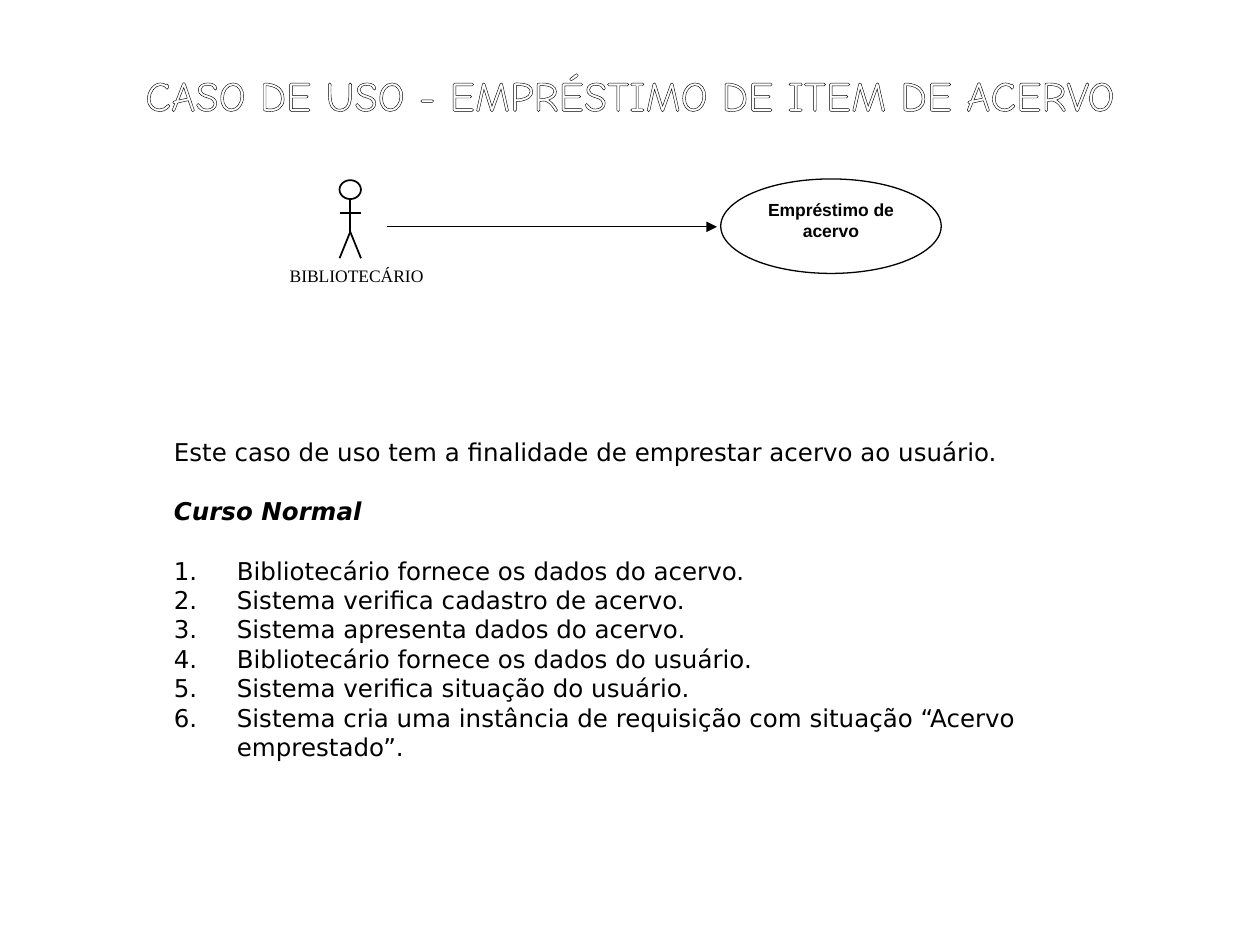
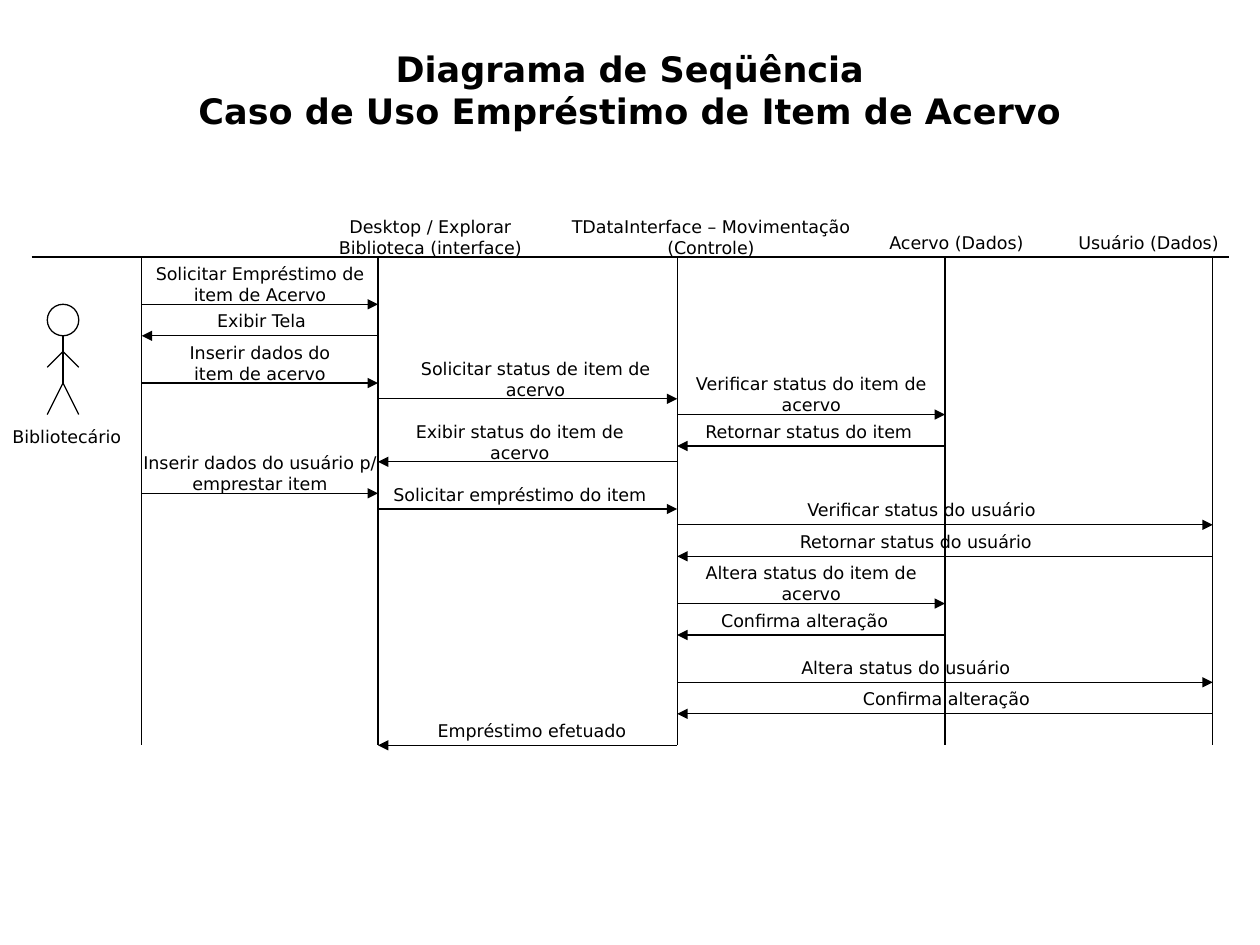
from dataclasses import dataclass

from lxml import etree
from pptx import Presentation
from pptx.dml.color import RGBColor
from pptx.enum.shapes import MSO_CONNECTOR, MSO_SHAPE
from pptx.enum.text import MSO_ANCHOR, MSO_AUTO_SIZE, PP_ALIGN
from pptx.oxml.ns import qn
from pptx.util import Inches, Pt

LEFT, CENTER = PP_ALIGN.LEFT, PP_ALIGN.CENTER
TOP = MSO_ANCHOR.TOP
FIXED = MSO_AUTO_SIZE.NONE
STRAIGHT = MSO_CONNECTOR.STRAIGHT
OVAL = MSO_SHAPE.OVAL


@dataclass(frozen=True)
class Theme:
    ink: RGBColor = RGBColor(0, 0, 0)
    paper: RGBColor = RGBColor(255, 255, 255)
    sans: str = "DejaVu Sans"
    display: str = "Comic Neue"
    serif: str = "Times New Roman"
    plain: str = "Arial"
    display_size: float = 24
    title_size: float = 20
    body_size: float = 14
    label_size: float = 10
    thin: float = 0.74
    bold_line: float = 0.99
    indent: float = 0.5
    gap: float = 17


THEME = Theme()
CELL = 0.125
BASELINE = 2.04
LIFELINES = [9, 24, 43, 60, 77]
LAST_ROW = 31

HEADERS = [
    ("Desktop / Explorar Biblioteca (interface)", 20, -3, 14.64, CENTER),
    ("TDataInterface – Movimentação (Controle)", 34.64, -3, 21, CENTER),
    ("Acervo (Dados)", 55.68, -2, 11, LEFT),
    ("Usuário (Dados)", 67.68, -2, 12.32, LEFT),
]

MESSAGES = [
    (3, 0, 1, "Solicitar Empréstimo de\nitem de Acervo", 9, 15, 2, CENTER),
    (5, 1, 0, "Exibir Tela", 13, 9, 1, LEFT),
    (8, 0, 1, "Inserir dados do\nitem de acervo", 10, 13, 2, CENTER),
    (9, 1, 2, "Solicitar status de item de acervo", 25, 18, 2, CENTER),
    (10, 2, 3, "Verificar status do item de acervo", 42, 19, 2, CENTER),
    (12, 3, 2, "Retornar status do item", 44, 16, 1, LEFT),
    (13, 2, 1, "Exibir status do item de acervo", 25, 16, 2, CENTER),
    (15, 0, 1, "Inserir dados do usuário p/ emprestar item", 8, 17, 2, CENTER),
    (16, 1, 2, "Solicitar empréstimo do item", 24, 18, 1, CENTER),
    (17, 2, 4, "Verificar status do usuário", 49, 19, 1, CENTER),
    (19, 4, 2, "Retornar status do usuário", 50, 17, 1, LEFT),
    (22, 2, 3, "Altera status do item de acervo", 43, 17, 2, CENTER),
    (24, 3, 2, "Confirma alteração", 45, 14, 1, LEFT),
    (27, 2, 4, "Altera status do usuário", 49, 17, 1, CENTER),
    (29, 4, 2, "Confirma alteração", 54, 14, 1, LEFT),
    (31, 2, 1, "Empréstimo efetuado", 27, 14, 1, LEFT),
]

PURPOSE = "Este caso de uso tem a finalidade de emprestar acervo ao usuário."
STEPS = [
    "Bibliotecário fornece os dados do acervo.",
    "Sistema verifica cadastro de acervo.",
    "Sistema apresenta dados do acervo.",
    "Bibliotecário fornece os dados do usuário.",
    "Sistema verifica situação do usuário.",
    "Sistema cria uma instância de requisição com situação “Acervo emprestado”.",
]


def apply(target, values):
    for name, value in values.items():
        setattr(target, name, value)


def column(units):
    return units * CELL


def row(units):
    return BASELINE + units * CELL


def write(shape, text, align=LEFT, size=THEME.label_size, face=THEME.sans,
          color=THEME.ink, bold=False):
    frame = shape.text_frame
    frame.text = text
    apply(frame, {"word_wrap": True, "auto_size": FIXED, "vertical_anchor": TOP})
    for paragraph in frame.paragraphs:
        apply(paragraph, {"alignment": align, "space_before": Pt(0)})
        for run in paragraph.runs:
            apply(run.font, {"name": face, "size": Pt(size), "bold": bold})
            run.font.color.rgb = color
    return frame


def place(shape, left, top, width, height):
    apply(shape, {"left": Inches(left), "top": Inches(top),
                  "width": Inches(width), "height": Inches(height)})


def add_label(slide, text, left, top, width, height, **style):
    box = slide.shapes.add_textbox(*map(Inches, (left, top, width, height)))
    return write(box, text, **style)


def set_title(slide, text, box, **style):
    place(slide.shapes.title, *box)
    return write(slide.shapes.title, text, align=CENTER, **style)


def add_line(slide, start, end, weight=THEME.thin, arrow=False):
    line = slide.shapes.add_connector(STRAIGHT, *map(Inches, (*start, *end)))
    line.line.color.rgb = THEME.ink
    line.line.width = Pt(weight)
    properties = line._element.spPr
    if arrow:
        etree.SubElement(properties.find(qn("a:ln")), qn("a:tailEnd"), type="triangle")
    etree.SubElement(properties, qn("a:effectLst"))


def add_oval(slide, left, top, width, height, weight=THEME.thin):
    oval = slide.shapes.add_shape(OVAL, *map(Inches, (left, top, width, height)))
    oval.shadow.inherit = False
    oval.fill.solid()
    oval.fill.fore_color.rgb = THEME.paper
    oval.line.color.rgb = THEME.ink
    oval.line.width = Pt(weight)
    return oval


def add_actor(slide, center, reach, head, neck, hip, foot, arms, weight=THEME.thin):
    add_line(slide, (center, neck), (center, hip), weight)
    for side in (-reach, reach):
        add_line(slide, (center, hip), (center + side, foot), weight)
    for (start, start_y), (end, end_y) in arms:
        add_line(slide, (center + start * reach, start_y),
                 (center + end * reach, end_y), weight)
    add_oval(slide, center - reach, head, 2 * reach, neck - head, weight)


def outline_text(run):
    outline = etree.Element(qn("a:ln"), w=str(Pt(THEME.thin)))
    fill = etree.SubElement(outline, qn("a:solidFill"))
    etree.SubElement(fill, qn("a:srgbClr"), val=str(THEME.ink))
    run.font._element.insert(0, outline)


def set_bullet(paragraph, numbered):
    properties = paragraph._p.get_or_add_pPr()
    indent = Inches(THEME.indent)
    for name, value in {"marL": indent, "indent": -indent}.items():
        properties.set(name, str(value))
    if numbered:
        etree.SubElement(properties, qn("a:buFont"), typeface=THEME.sans)
        etree.SubElement(properties, qn("a:buAutoNum"), type="arabicPeriod")
    else:
        etree.SubElement(properties, qn("a:buNone"))


def add_course(slide):
    body = slide.placeholders[1]
    place(body, 1.28, 3.42, 7.71, 2.7)
    frame = write(body, "\n".join([PURPOSE, "Curso Normal", *STEPS]),
                  size=THEME.body_size)
    for index, paragraph in enumerate(frame.paragraphs):
        set_bullet(paragraph, numbered=index > 1)
    heading = frame.paragraphs[1]
    apply(heading, {"space_before": Pt(THEME.gap), "space_after": Pt(THEME.gap)})
    apply(heading.runs[0].font, {"bold": True, "italic": True})


def build_use_case(deck):
    slide = deck.slides.add_slide(deck.slide_layouts[1])
    title = set_title(slide, "CASO DE USO - EMPRÉSTIMO DE ITEM DE ACERVO",
                      (0.75, 0.5, 8.5, 0.47), size=THEME.display_size,
                      face=THEME.display, color=THEME.paper)
    outline_text(title.paragraphs[0].runs[0])
    use_case = add_oval(slide, 5.72, 1.42, 1.75, 0.75)
    write(use_case, "Empréstimo de acervo", align=CENTER, face=THEME.plain, bold=True)
    add_actor(slide, 2.78, 0.085, head=1.43, neck=1.58, hip=1.84, foot=2.05,
              arms=[((-1, 1.69), (1, 1.69))], weight=THEME.bold_line)
    add_line(slide, (3.07, 1.8), (5.69, 1.8), arrow=True)
    actor_name = add_label(slide, "BIBLIOTECÁRIO", 2.08, 2.1, 1.5, 0.28,
                           align=CENTER, face=THEME.serif)
    apply(actor_name, dict.fromkeys(
        ("margin_left", "margin_top", "margin_right", "margin_bottom"), 0))
    add_course(slide)


def build_sequence(deck):
    slide = deck.slides.add_slide(deck.slide_layouts[5])
    set_title(slide, "Diagrama de Seqüência\nCaso de Uso Empréstimo de Item de Acervo",
              (0.5, 0.33, 9, 0.75), size=THEME.title_size, bold=True)
    add_line(slide, (column(2), row(0)), (column(78), row(0)))
    for lifeline in LIFELINES:
        add_line(slide, (column(lifeline), row(0)), (column(lifeline), row(LAST_ROW)))
    add_actor(slide, column(4), CELL, head=row(3), neck=row(5), hip=row(8), foot=row(10),
              arms=[((0, row(6)), (side, row(7))) for side in (-1, 1)])
    add_label(slide, "Bibliotecário", 0, 3.33, column(9), column(3))
    for text, left, top, width, align in HEADERS:
        add_label(slide, text, column(left), row(top), column(width), column(4),
                  align=align)
    for level, sender, receiver, text, left, width, lines, align in MESSAGES:
        add_line(slide, (column(LIFELINES[sender]), row(level)),
                 (column(LIFELINES[receiver]), row(level)), arrow=True)
        add_label(slide, text, column(left), row(level - lines - 1), column(width),
                  column(2 * lines), align=align)


def main():
    deck = Presentation()
    apply(deck, {"slide_width": Inches(10), "slide_height": Inches(7.5)})
    build_use_case(deck)
    build_sequence(deck)
    deck.save("out.pptx")


main()
